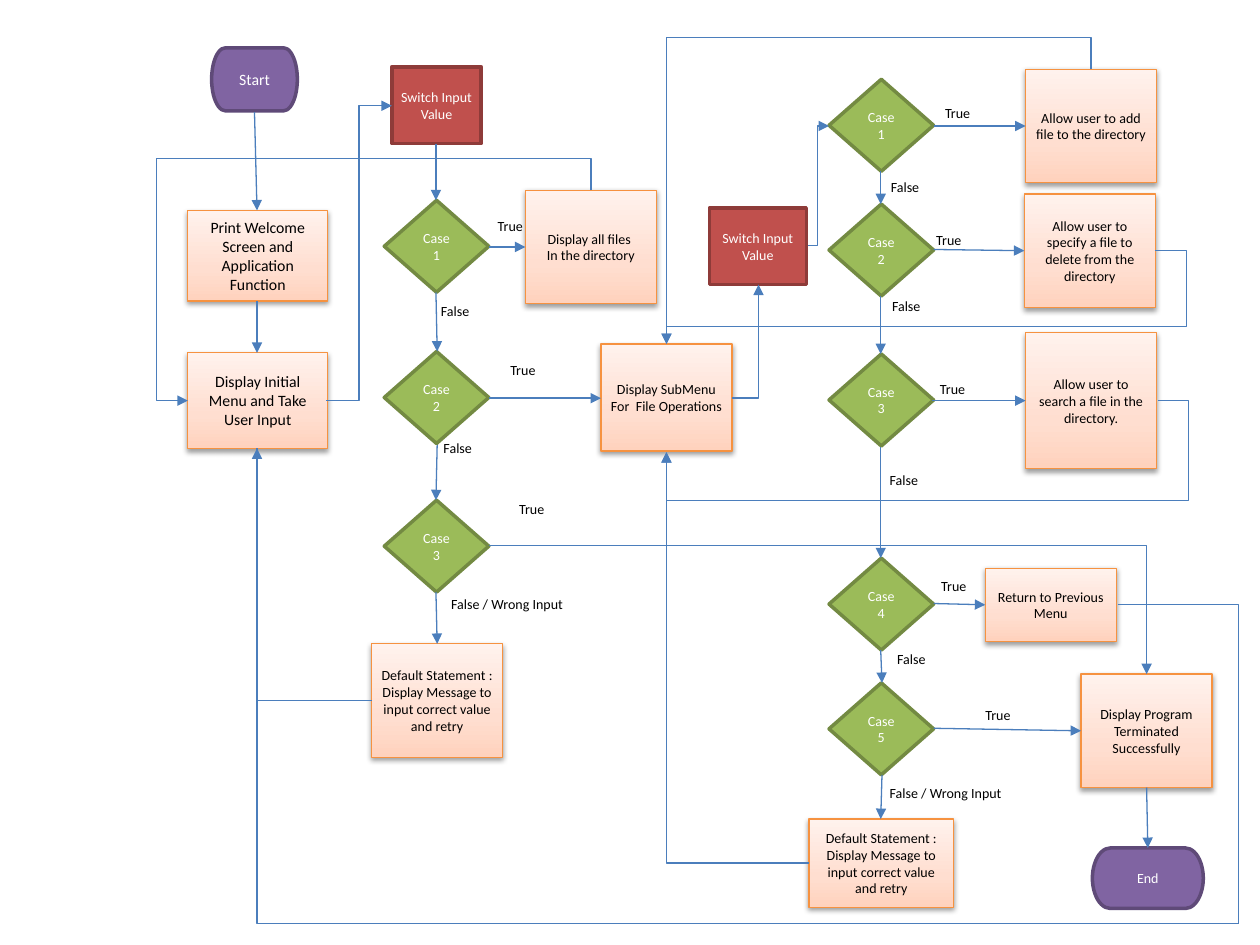
import copy
import pptx
import pptx.util
import pptx.dml.color
import pptx.enum.shapes
import pptx.enum.text
import pptx.oxml
import pptx.oxml.ns

Inches = pptx.util.Inches
Pt = pptx.util.Pt
Shape = pptx.enum.shapes.MSO_SHAPE
Wire = pptx.enum.shapes.MSO_CONNECTOR
Align = pptx.enum.text.PP_ALIGN
Anchor = pptx.enum.text.MSO_ANCHOR
Fit = pptx.enum.text.MSO_AUTO_SIZE
qn = pptx.oxml.ns.qn
NS = pptx.oxml.ns.nsdecls("a")

BLUE, WHITE, BLACK = "4B7EBC", "FFFFFF", "000000"
PEACH = [(0, "FFD2BD"), (0.35, "FFDED0"), (1, "FFF2ED")]
WIDTHS = {"True": 0.38, "False": 0.4, "False / Wrong Input": 1.08}


def color(code):
    return pptx.dml.color.RGBColor.from_string(code)


def write(shape, text, size=8, ink=BLACK, align=Align.CENTER,
          anchor=Anchor.MIDDLE, wrap=True):
    frame = shape.text_frame
    frame.word_wrap = wrap
    frame.vertical_anchor = anchor
    frame.margin_left = frame.margin_right = Inches(0.07)
    frame.margin_top = frame.margin_bottom = Inches(0.03)
    for i, line in enumerate(text.split("\n")):
        para = frame.paragraphs[0] if i == 0 else frame.add_paragraph()
        para.alignment = align
        run = para.add_run()
        run.text = line
        run.font.name = "Calibri"
        run.font.size = Pt(size)
        run.font.color.rgb = color(ink)


def node(slide, kind, spot, edge, weight):
    shape = slide.shapes.add_shape(kind, *map(Inches, spot))
    shape.line.color.rgb = color(edge)
    shape.line.width = Pt(weight)
    shape.shadow.inherit = False
    return shape


def solid(slide, kind, spot, text, fill, edge, size=8):
    shape = node(slide, kind, spot, edge, 2)
    shape.fill.solid()
    shape.fill.fore_color.rgb = color(fill)
    write(shape, text, size=size, ink=WHITE)


def process(slide, spot, text, kind=Shape.FLOWCHART_PROCESS, size=8):
    shape = node(slide, kind, spot, "F69240", 0.75)
    # Three-stop fill, light at the top
    shape.fill.gradient()
    shape.fill.gradient_angle = 90
    stops = shape._element.spPr.find(".//" + qn("a:gsLst"))
    stops.insert(1, copy.deepcopy(stops[0]))
    for stop, (place, code) in zip(shape.fill.gradient_stops, PEACH):
        stop.position = place
        stop.color.rgb = color(code)
    # Soft drop shadow
    shape._element.spPr.find(qn("a:effectLst")).append(pptx.oxml.parse_xml(
        f'<a:outerShdw {NS} blurRad="{Pt(3.1)}" dist="{Pt(1.6)}" '
        'dir="5400000" rotWithShape="0"><a:srgbClr val="000000">'
        '<a:alpha val="38000"/></a:srgbClr></a:outerShdw>'))
    write(shape, text, size=size)


def case(slide, x, y, num):
    solid(slide, Shape.FLOWCHART_DECISION, (x, y, 0.83, 0.73),
          f"Case {num}", "9BBB59", "738A42")


def label(slide, x, y, text):
    box = slide.shapes.add_textbox(
        *map(Inches, (x, y, WIDTHS[text], 0.2)))
    write(box, text, align=Align.LEFT, anchor=Anchor.TOP, wrap=False)
    box.text_frame.auto_size = Fit.SHAPE_TO_FIT_TEXT


def route(slide, *dots, arrow=True):
    """Join the dots: two make a straight line, more make an elbow."""
    (x1, y1), (x2, y2) = dots[0], dots[-1]
    bent = len(dots) > 2
    steep = bent and dots[0][0] == dots[1][0]
    ends = (x1, y1, x2, y2)
    if steep:  # from top right to bottom left, as a quarter turn
        mid, high = (x1 + x2) / 2, (y1 + y2) / 2
        dx, dy = (y2 - y1) / 2, (x1 - x2) / 2
        ends = (mid - dx, high - dy, mid + dx, high + dy)
    wire = slide.shapes.add_connector(
        Wire.ELBOW if bent else Wire.STRAIGHT, *map(Inches, ends))
    props = wire._element.spPr
    if steep:
        props.find(qn("a:xfrm")).set("rot", "5400000")
    if bent:
        shape = props.find(qn("a:prstGeom"))
        shape.set("prst", f"bentConnector{len(dots) - 1}")
        guides = shape.get_or_add_avLst()
        for i in range(1, len(dots) - 2):
            axis = (i - 1 + steep) % 2
            start, stop = dots[0][axis], dots[-1][axis]
            share = round((dots[i][axis] - start) / (stop - start) * 100000)
            guides.append(pptx.oxml.parse_xml(
                f'<a:gd {NS} name="adj{i}" fmla="val {share}"/>'))
    wire.line.color.rgb = color(BLUE)
    wire.line.width = Pt(0.75)
    if arrow:
        props.find(qn("a:ln")).append(
            pptx.oxml.parse_xml(f'<a:tailEnd {NS} type="triangle"/>'))
    props.append(pptx.oxml.parse_xml(f"<a:effectLst {NS}/>"))


def main():
    deck = pptx.Presentation()
    deck.slide_width, deck.slide_height = Inches(10), Inches(7.5)
    slide = deck.slides.add_slide(deck.slide_layouts[6])

    # Start, end and switches
    for spot, text, size in [((1.68, 0.38, 0.68, 0.5), "Start", 9),
                             ((8.67, 6.73, 0.88, 0.48), "End", 8)]:
        solid(slide, Shape.FLOWCHART_TERMINATOR, spot, text,
              "8064A2", "5F4A78", size)
    for spot in [(3.11, 0.53, 0.71, 0.61), (5.63, 1.65, 0.77, 0.61)]:
        solid(slide, Shape.RECTANGLE, spot, "Switch Input\nValue",
              "C0504D", "8E3B39")

    # Cases of the main menu and the submenu
    for x, tops in [(3.05, (1.59, 2.79, 3.97)),
                    (6.58, (0.63, 1.62, 2.81, 4.43, 5.42))]:
        for num, y in enumerate(tops, 1):
            case(slide, x, y, num)

    # Steps
    for spot, text in [
            ((1.49, 1.67, 1.11, 0.72),
             "Print Welcome Screen and Application Function"),
            ((1.49, 2.8, 1.11, 0.76),
             "Display Initial Menu and Take User Input")]:
        process(slide, spot, text, kind=Shape.RECTANGLE, size=9)
    retry = ("Default Statement : Display Message to input correct value "
             "and retry")
    for spot, text in [
            ((4.17, 1.51, 1.04, 0.9), "Display all files \nIn the directory"),
            ((2.95, 5.11, 1.04, 0.9), retry),
            ((8.58, 5.35, 1.04, 0.9),
             "Display Program Terminated Successfully"),
            ((4.77, 2.73, 1.04, 0.85),
             "Display SubMenu\nFor  File Operations"),
            ((8.14, 0.55, 1.04, 0.9),
             "Allow user to add file to the directory"),
            ((8.13, 1.54, 1.04, 0.9),
             "Allow user to specify a file to delete from the directory"),
            ((8.14, 2.64, 1.04, 1.08),
             "Allow user to search a file in the directory."),
            ((7.82, 4.51, 1.04, 0.58), "Return to Previous Menu"),
            ((6.42, 6.5, 1.15, 0.7), retry)]:
        process(slide, spot, text)

    # Straight arrows
    for dots in [
            ((2.02, 0.89), (2.04, 1.67)), ((2.04, 2.39), (2.04, 2.8)),
            ((3.46, 1.14), (3.46, 1.59)), ((3.46, 2.32), (3.47, 2.79)),
            ((3.47, 3.53), (3.46, 3.97)), ((3.46, 4.7), (3.47, 5.11)),
            ((3.88, 1.96), (4.17, 1.96)), ((3.88, 3.16), (4.77, 3.16)),
            ((6.99, 1.36), (6.99, 1.62)), ((6.99, 2.35), (6.99, 2.81)),
            ((6.99, 3.55), (6.99, 4.43)), ((6.99, 5.16), (7, 5.42)),
            ((7, 6.15), (6.99, 6.5)), ((7.41, 1), (8.14, 1)),
            ((7.41, 1.98), (8.13, 1.99)), ((7.4, 3.18), (8.14, 3.18)),
            ((7.41, 4.79), (7.82, 4.8)), ((7.41, 5.78), (8.58, 5.8)),
            ((9.1, 6.25), (9.11, 6.73))]:
        route(slide, *dots)

    # Elbow arrows
    for dots in [
            ((2.59, 3.18), (2.85, 3.18), (2.85, 0.84), (3.11, 0.84)),
            ((2.95, 5.56), (2.04, 5.56), (2.04, 3.56)),
            ((3.88, 4.33), (9.1, 4.33), (9.1, 5.35)),
            ((6.41, 1.95), (6.49, 1.95), (6.49, 1), (6.58, 1)),
            ((6.42, 6.85), (5.29, 6.85), (5.29, 3.59)),
            ((4.69, 1.51), (4.69, 1.26), (1.24, 1.26), (1.24, 3.18),
             (1.49, 3.18)),
            ((5.81, 3.16), (6.02, 3.16), (6.02, 2.26)),
            ((9.19, 3.18), (9.43, 3.18), (9.43, 3.97), (5.29, 3.97),
             (5.29, 3.59)),
            ((9.17, 1.99), (9.42, 1.99), (9.42, 2.59), (5.29, 2.59),
             (5.29, 2.73)),
            ((8.66, 0.55), (8.66, 0.3), (5.29, 0.3), (5.29, 2.73))]:
        route(slide, *dots)
    route(slide, (8.87, 4.8), (9.83, 4.8), (9.83, 7.33), arrow=False)
    route(slide, (9.83, 7.33), (2.04, 7.33), (2.04, 3.56), arrow=False)

    # Branch labels
    for text, spots in {
            "True": [(3.88, 1.7), (3.98, 2.84), (4.05, 3.94), (7.43, 0.8),
                     (7.36, 1.81), (7.39, 2.99), (7.4, 4.55), (7.75, 5.58)],
            "False": [(3.43, 2.37), (3.45, 3.46), (7, 1.39), (7.01, 2.33),
                      (6.99, 3.71), (7.05, 5.13)],
            "False / Wrong Input": [(3.51, 4.7), (6.99, 6.2)]}.items():
        for x, y in spots:
            label(slide, x, y, text)

    deck.save("out.pptx")


main()
